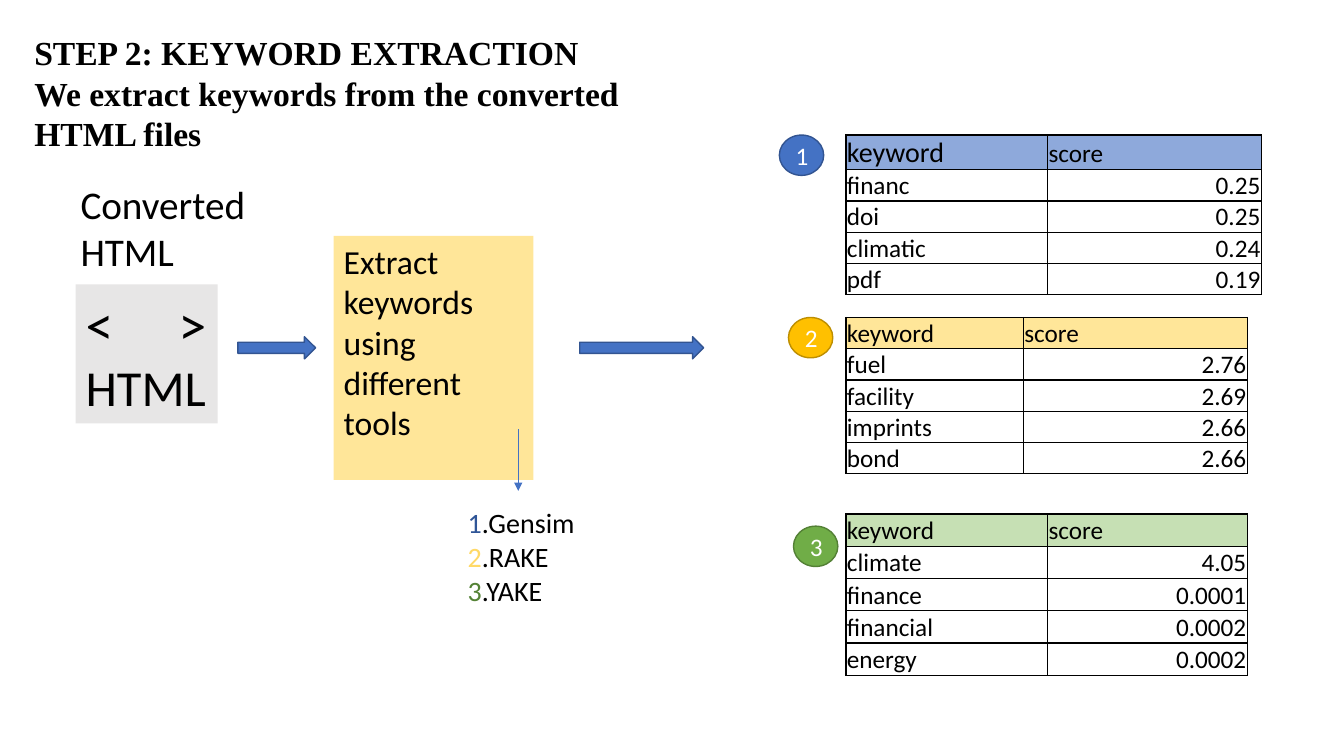
import pptx
import pptx.dml.color
import pptx.enum.shapes
import pptx.enum.text
import pptx.oxml
import pptx.oxml.ns
import pptx.util
from pptx.util import Inches

SHAPES = pptx.enum.shapes.MSO_SHAPE
ALIGN = pptx.enum.text.PP_ALIGN
ANCHOR = pptx.enum.text.MSO_ANCHOR
BLACK = "000000"
BLUE, BLUE_EDGE = "4472C4", "325491"
TABLE_LEFT = 8.39


def color(hex_string):
    return pptx.dml.color.RGBColor.from_string(hex_string)


def add_xml(parent, xml):
    """Append an element written with the a: prefix."""
    start, rest = xml.split(" ", 1)
    namespace = pptx.oxml.ns.nsdecls("a")
    parent.append(pptx.oxml.parse_xml(f"{start} {namespace} {rest}"))


def write(paragraph, text, size=18, font="Calibri", hex_color=BLACK, bold=False,
          align=ALIGN.LEFT):
    paragraph.alignment = align
    run = paragraph.add_run()
    run.text = text
    run.font.size = pptx.util.Pt(size)
    run.font.name = font
    run.font.bold = bold
    run.font.color.rgb = color(hex_color)


def paragraphs_of(frame, count, anchor=ANCHOR.TOP):
    """Prepare a wrapping text frame and return its paragraphs."""
    frame.word_wrap = True
    frame.vertical_anchor = anchor
    while len(frame.paragraphs) < count:
        frame.add_paragraph()
    return frame.paragraphs


def add_block(slide, kind, box, fill, edge=None):
    shape = slide.shapes.add_shape(kind, *map(Inches, box))
    shape.shadow.inherit = False
    shape.fill.solid()
    shape.fill.fore_color.rgb = color(fill)
    if edge:
        shape.line.color.rgb = color(edge)
        shape.line.width = pptx.util.Pt(1)
    else:
        shape.line.fill.background()
    return shape


def add_title(slide, box):
    title = slide.shapes.title
    title.left, title.top, title.width, title.height = map(Inches, box)
    lines = ("STEP 2: KEYWORD EXTRACTION",
             "We extract keywords from the converted HTML files")
    for paragraph, line in zip(paragraphs_of(title.text_frame, 2), lines):
        paragraph.line_spacing = 1.0
        paragraph.space_before = pptx.util.Pt(0)
        write(paragraph, line, size=24, font="Times New Roman", bold=True)


def add_html_input(slide, left, top):
    caption = slide.shapes.add_textbox(
        Inches(left), Inches(top), Inches(2.31), Inches(1.04))
    write(paragraphs_of(caption.text_frame, 1)[0], "Converted HTML", size=28)

    icon = add_block(slide, SHAPES.RECTANGLE, (left + 0.05, top + 1.08, 1.41, 1.38), "E7E6E6")
    brackets, label = paragraphs_of(icon.text_frame, 2)
    add_xml(brackets._p.get_or_add_pPr(),
            f'<a:tabLst ><a:tab pos="{Inches(0.92)}" algn="l"/></a:tabLst>')
    write(brackets, "<\t>", size=40)
    write(label, "HTML", size=36)


def add_extraction(slide, left, top):
    step = add_block(slide, SHAPES.RECTANGLE, (left, top, 1.98, 2.42), "FFE699")
    write(paragraphs_of(step.text_frame, 1)[0],
          "Extract keywords using different tools", size=24)

    arrow_x = Inches(left + 1.83)
    arrow = slide.shapes.add_connector(
        pptx.enum.shapes.MSO_CONNECTOR.STRAIGHT,
        arrow_x, Inches(top + 1.92), arrow_x, Inches(top + 2.53))
    arrow.line.color.rgb = color(BLUE)
    arrow.line.width = pptx.util.Pt(0.5)
    add_xml(arrow.line._get_or_add_ln(), '<a:tailEnd type="triangle"/>')
    add_xml(arrow._element.spPr, "<a:effectLst />")

    tools = (("Gensim", "2F5597"), ("RAKE", "FFD966"), ("YAKE", "548235"))
    tool_list = add_block(slide, SHAPES.RECTANGLE, (left + 1.23, top + 2.63, 1.5, 1.11), "FFFFFF")
    paragraphs = paragraphs_of(tool_list.text_frame, len(tools))
    for number, (paragraph, (tool, number_color)) in enumerate(zip(paragraphs, tools), 1):
        write(paragraph, str(number), size=20, hex_color=number_color)
        write(paragraph, f".{tool}", size=20)


def format_cell(cell, text, fill=None, **text_format):
    cell.margin_left = cell.margin_right = cell.margin_top = Inches(0.01)
    cell.margin_bottom = 0
    cell.vertical_anchor = ANCHOR.BOTTOM
    for side in ("lnL", "lnR", "lnT", "lnB"):
        add_xml(cell._tc.get_or_add_tcPr(),
                f'<a:{side} w="12700"><a:solidFill><a:srgbClr val="{BLACK}"/>'
                f"</a:solidFill></a:{side}>")
    if fill:
        cell.fill.solid()
        cell.fill.fore_color.rgb = color(fill)
    else:
        cell.fill.background()
    write(cell.text_frame.paragraphs[0], text, **text_format)


def add_scores(slide, top, column_widths, row_heights, header_fill, scores, header_size=18):
    """Draw one keyword table; row_heights holds the header and body heights."""
    heights = [row_heights[0]] + [row_heights[1]] * len(scores)
    table = slide.shapes.add_table(
        len(heights), 2, Inches(TABLE_LEFT), Inches(top),
        Inches(sum(column_widths)), Inches(sum(heights))).table
    table.first_row = table.horz_banding = False
    for column, width in zip(table.columns, column_widths):
        column.width = Inches(width)
    for row, height in zip(table.rows, heights):
        row.height = Inches(height)
    format_cell(table.cell(0, 0), "keyword", fill=header_fill, size=header_size)
    format_cell(table.cell(0, 1), "score", fill=header_fill)
    for row, (keyword, score) in enumerate(scores, 1):
        format_cell(table.cell(row, 0), keyword)
        format_cell(table.cell(row, 1), score, align=ALIGN.RIGHT)


def add_badge(slide, number, left, top, fill, edge):
    badge = add_block(slide, SHAPES.OVAL, (left, top, 0.44, 0.4), fill, edge)
    paragraph = paragraphs_of(badge.text_frame, 1, ANCHOR.MIDDLE)[0]
    write(paragraph, str(number), hex_color="FFFFFF", align=ALIGN.CENTER)


def add_results(slide):
    add_scores(slide, 1.34, (2, 2.12), (0.33, 0.31), "8EA9DB",
               (("financ", "0.25"), ("doi", "0.25"), ("climatic", "0.24"), ("pdf", "0.19")),
               header_size=20)
    add_scores(slide, 3.15, (1.76, 2.22), (0.31, 0.31), "FFE699",
               (("fuel", "2.76"), ("facility", "2.69"), ("imprints", "2.66"), ("bond", "2.66")))
    add_scores(slide, 5.1, (2, 1.98), (0.32, 0.32), "C6E0B4",
               (("climate", "4.05"), ("finance", "0.0001"), ("financial", "0.0002"),
                ("energy", "0.0002")))
    badges = ((7.73, 1.34, BLUE, BLUE_EDGE),
              (7.82, 3.15, "FFC000", "BD8E00"),
              (7.87, 5.22, "70AD47", "538035"))
    for number, badge in enumerate(badges, 1):
        add_badge(slide, number, *badge)


def main():
    presentation = pptx.Presentation()
    presentation.slide_width = Inches(13.33)
    presentation.slide_height = Inches(7.5)
    slide = presentation.slides.add_slide(presentation.slide_layouts.get_by_name("Title Only"))
    add_title(slide, (0.24, 0.27, 6.14, 1.31))
    add_html_input(slide, 0.7, 1.74)
    add_extraction(slide, 3.31, 2.34)
    for left, width in ((2.36, 0.77), (5.75, 1.23)):
        add_block(slide, SHAPES.RIGHT_ARROW, (left, 3.34, width, 0.22), BLUE, BLUE_EDGE)
    add_results(slide)
    presentation.save("out.pptx")


if __name__ == "__main__":
    main()
